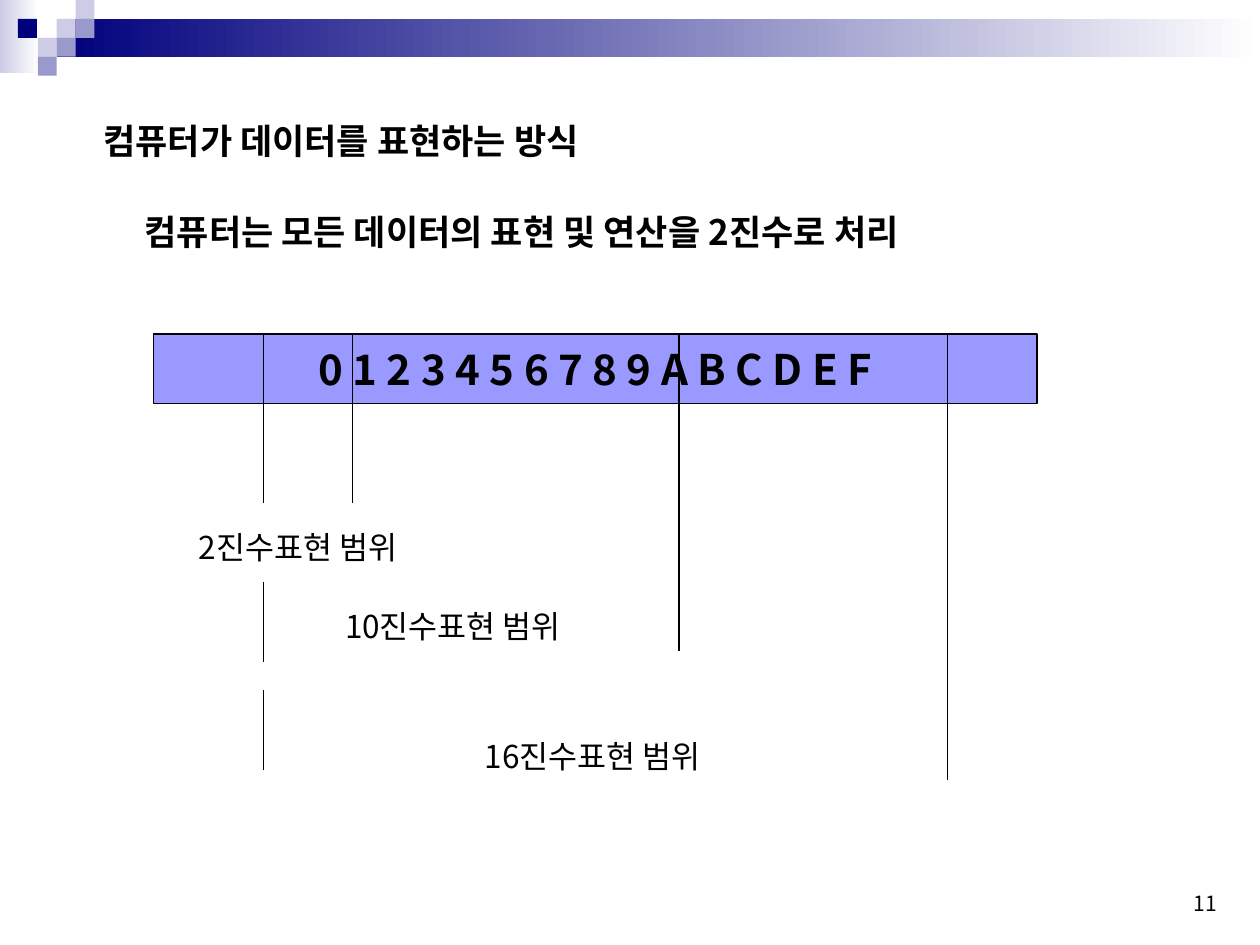
from lxml.etree import SubElement
from pptx import Presentation
from pptx.dml.color import RGBColor
from pptx.enum.shapes import MSO_CONNECTOR as Connector, MSO_SHAPE as Shape
from pptx.enum.text import MSO_ANCHOR as Anchor, MSO_AUTO_SIZE as AutoSize, PP_ALIGN as Align
from pptx.oxml.ns import qn
from pptx.util import Inches, Pt

COLORS = {
    "navy": "00007D",
    "pale": "CCCCE6",
    "mid": "9999CC",
    "bar": "9999FF",
    "white": "FFFFFF",
    "black": "000000",
}
FONT = "Noto Sans CJK KR"
TILE = 0.15
BAR_TOP = 2.65


def color(name):
    return RGBColor.from_string(COLORS[name])


class SlideBuilder:
    def __init__(self, slide):
        self.slide = slide

    def set_text(self, shape, text, size, bold=False, align=Align.LEFT, anchor=Anchor.TOP, grow=True):
        frame = shape.text_frame
        frame.text = text
        frame.word_wrap = False
        frame.auto_size = AutoSize.SHAPE_TO_FIT_TEXT if grow else AutoSize.NONE
        frame.vertical_anchor = anchor
        paragraph = frame.paragraphs[0]
        paragraph.alignment = align
        for run in paragraph.runs:
            run.font.size = Pt(size)
            run.font.bold = bold
            run.font.name = FONT
            run.font.color.rgb = color("black")
            SubElement(run._r.get_or_add_rPr(), qn("a:ea")).set("typeface", FONT)

    def title(self, text, left, top, width, height):
        shape = self.slide.shapes.title
        shape.left, shape.top = Inches(left), Inches(top)
        shape.width, shape.height = Inches(width), Inches(height)
        self.set_text(shape, text, 20, bold=True)

    def text(self, text, left, top, width, height, size=18, **style):
        box = self.slide.shapes.add_textbox(
            Inches(left), Inches(top), Inches(width), Inches(height))
        self.set_text(box, text, size, **style)

    def rectangle(self, left, top, width, height, fill, outline=None):
        shape = self.slide.shapes.add_shape(
            Shape.RECTANGLE, Inches(left), Inches(top), Inches(width), Inches(height))
        shape.shadow.inherit = False
        shape.fill.solid()
        shape.fill.fore_color.rgb = color(fill)
        if outline:
            shape.line.color.rgb = color(outline)
            shape.line.width = Pt(0.75)
        else:
            shape.line.fill.background()
        return shape

    def gradient(self, left, top, width, height, start):
        shape = self.rectangle(left, top, width, height, start)
        shape.fill.gradient()
        shape.fill.gradient_angle = 0
        for stop, name in zip(shape.fill.gradient_stops, (start, "white")):
            stop.color.rgb = color(name)

    def vertical_line(self, x, top, bottom):
        line = self.slide.shapes.add_connector(
            Connector.STRAIGHT, Inches(x), Inches(top), Inches(x), Inches(bottom))
        line.line.color.rgb = color("black")
        line.line.width = Pt(0.75)
        SubElement(line._element.spPr, qn("a:effectLst"))


def main():
    presentation = Presentation()
    presentation.slide_width, presentation.slide_height = Inches(10), Inches(7.5)
    builder = SlideBuilder(presentation.slides.add_slide(presentation.slide_layouts[5]))

    builder.gradient(0, 0, 0.31, 0.58, "pale")
    builder.gradient(0.45, TILE, 9.55, 0.3, "navy")
    for column, row, fill in (
        (3, 1, "pale"), (4, 0, "pale"), (4, 1, "mid"), (2, 2, "pale"),
        (0.95, 1, "navy"), (3, 2, "mid"), (2, 3, "mid"),
    ):
        builder.rectangle(column * TILE, row * TILE, TILE, TILE, fill)

    builder.title("컴퓨터가 데이터를 표현하는 방식", 0.72, 0.9, 4.2, 0.44)
    builder.text("컴퓨터는 모든 데이터의 표현 및 연산을 2진수로 처리",
                 1.05, 1.62, 6.85, 0.44, size=20, bold=True)

    digit_bar = builder.rectangle(1.22, BAR_TOP, 7.01, 0.55, "bar", outline="black")
    builder.set_text(digit_bar, "0 1 2 3 4 5 6 7 8 9 A B C D E F", 24, bold=True,
                     align=Align.CENTER, anchor=Anchor.MIDDLE, grow=False)

    for x, top, bottom in (
        (2.8, BAR_TOP, 3.99), (5.39, BAR_TOP, 5.17), (7.52, BAR_TOP, 6.19),
        (2.09, BAR_TOP, 3.99), (2.09, 4.62, 5.25), (2.09, 5.48, 6.11),
    ):
        builder.vertical_line(x, top, bottom)

    for base, left, top, width in ((2, 1.48, 4.14, 1.91), (10, 2.64, 4.77, 2.06), (16, 3.75, 5.8, 2.06)):
        builder.text(f"{base}진수표현 범위", left, top, width, 0.4)

    builder.text("11", 7.2, 6.82, 2.56, 0.5, size=12,
                 align=Align.RIGHT, anchor=Anchor.BOTTOM, grow=False)
    presentation.save("out.pptx")


if __name__ == "__main__":
    main()
